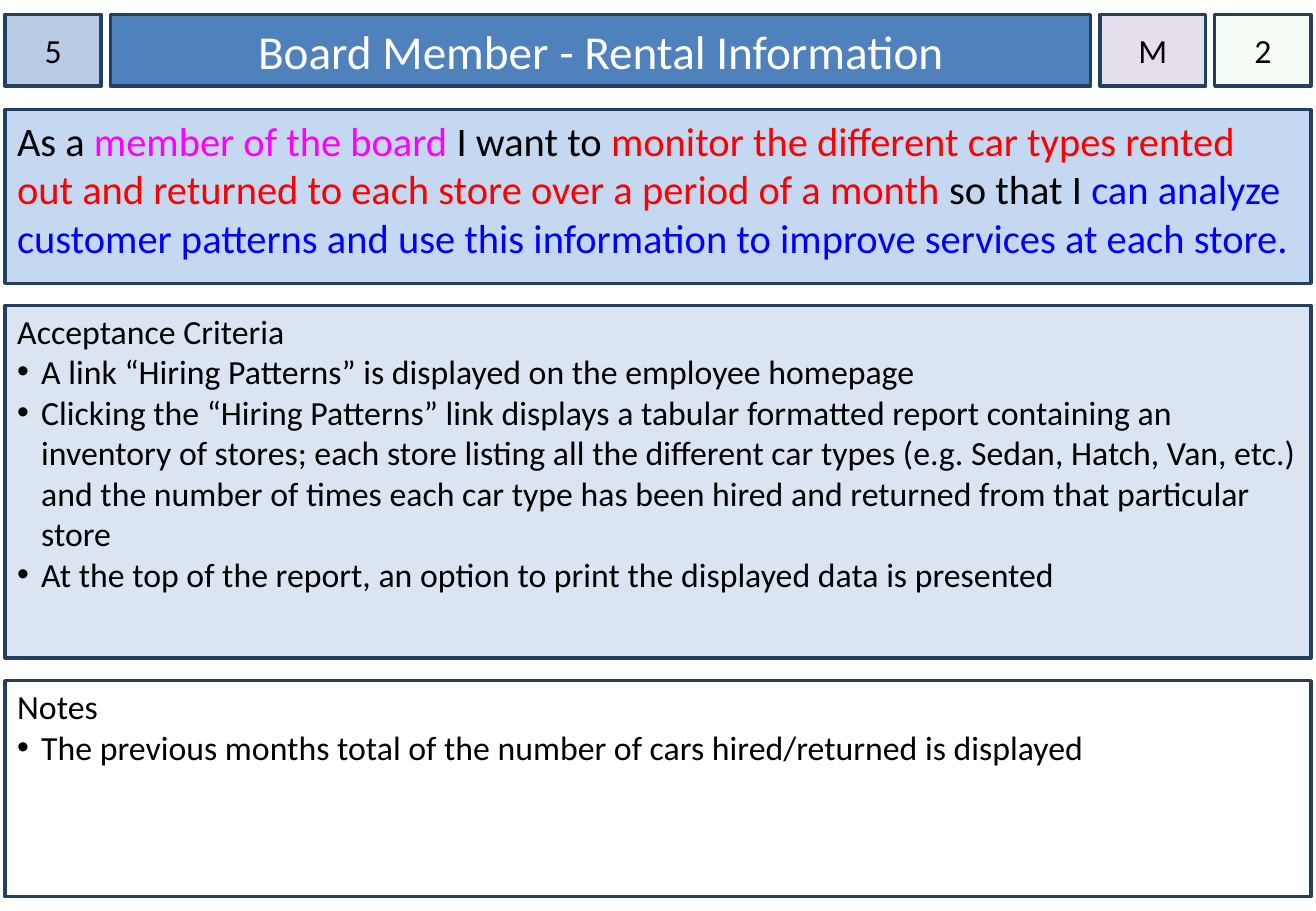
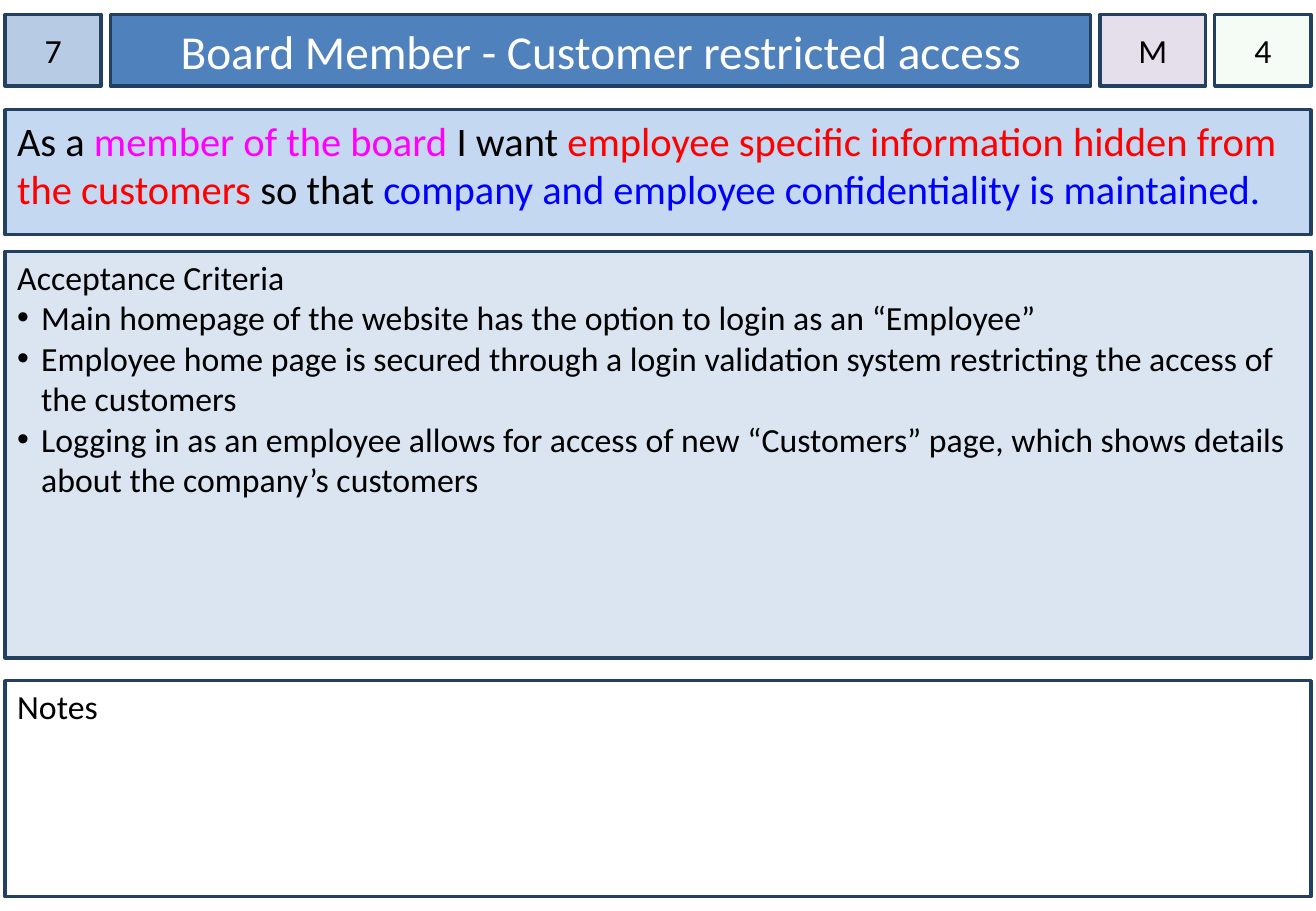
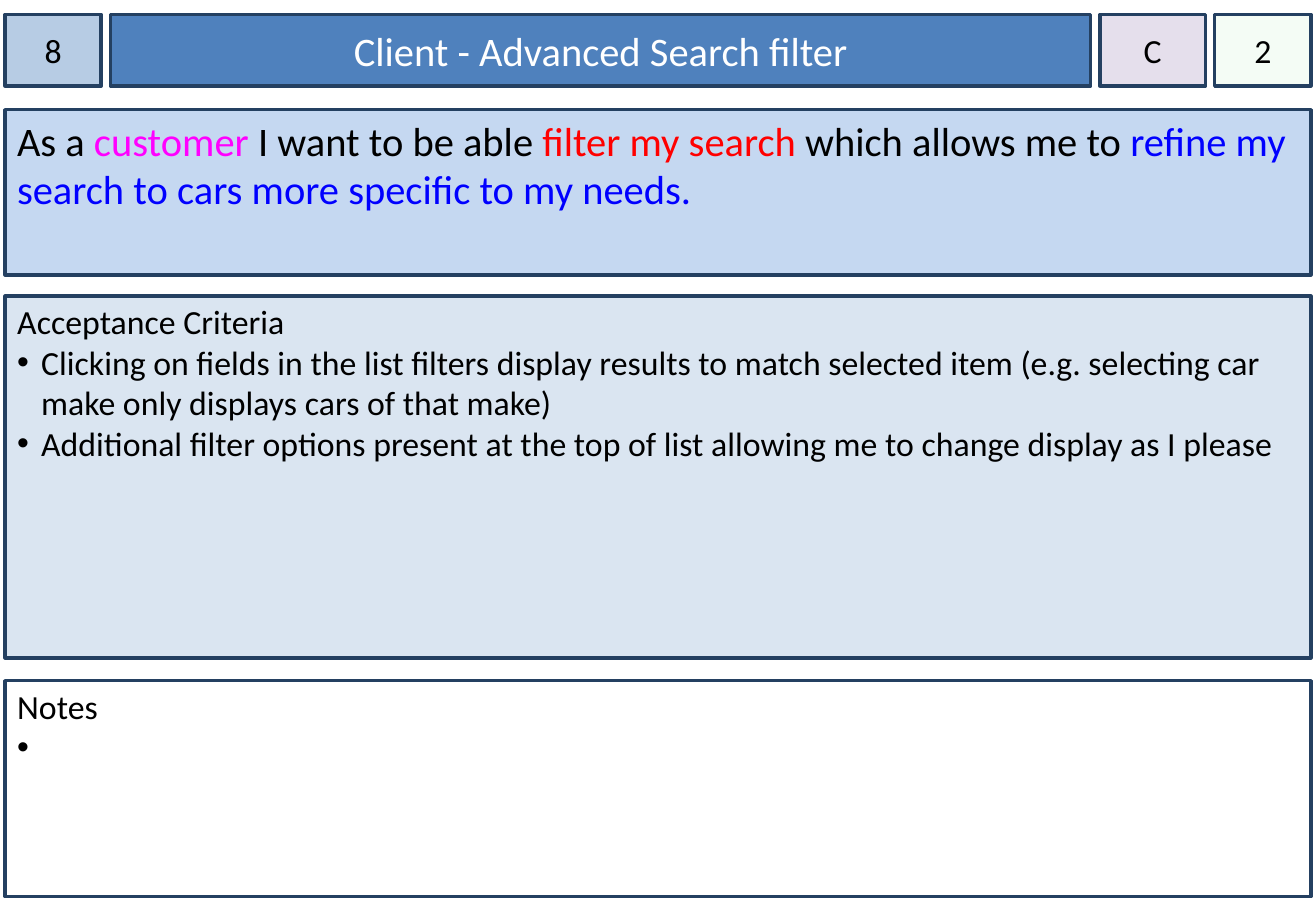
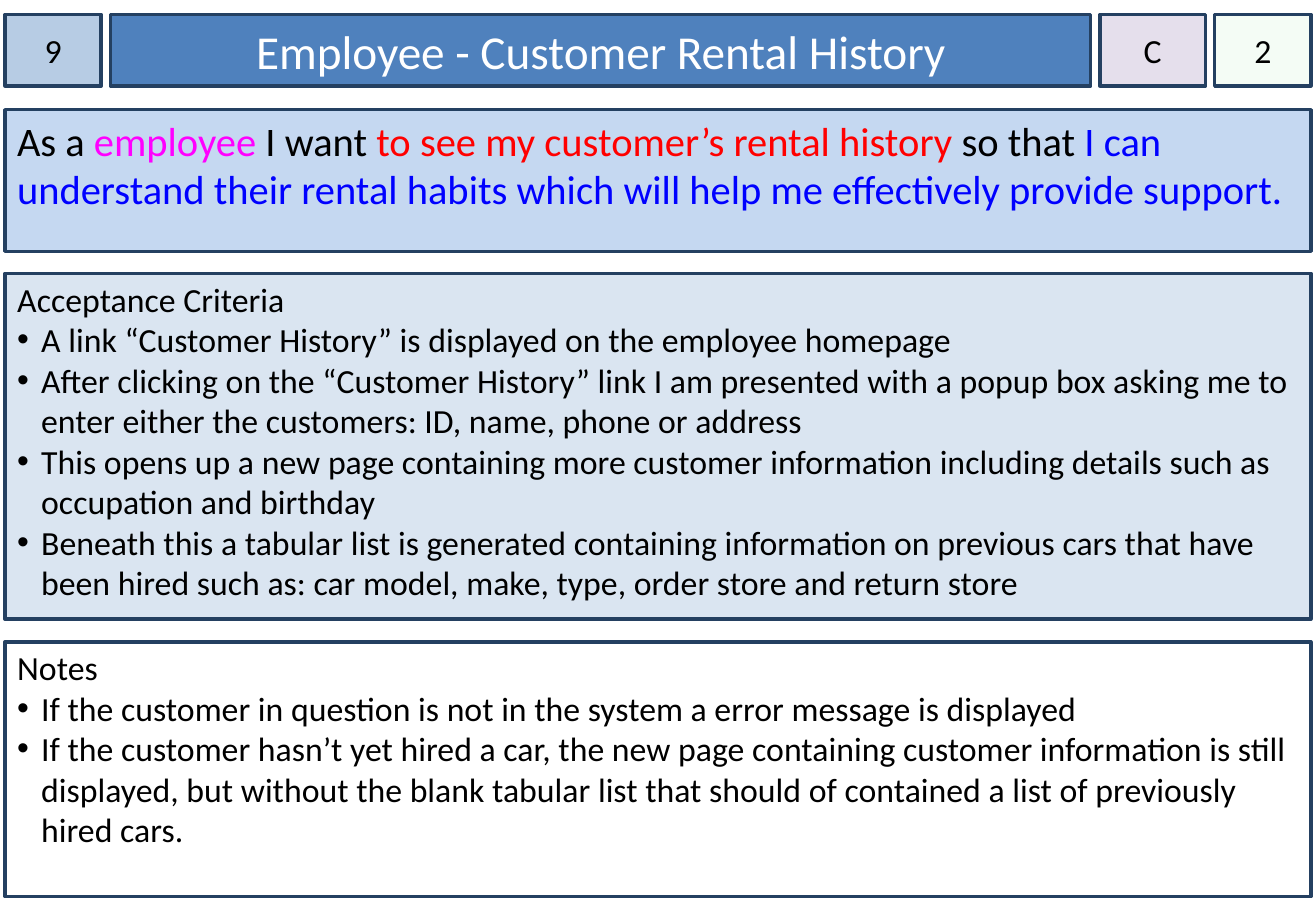
from dataclasses import dataclass

from lxml import etree
from pptx import Presentation
from pptx.dml.color import RGBColor
from pptx.enum import shapes, text
from pptx.oxml import ns
from pptx.util import Pt

FONT = "Calibri"
BLACK, WHITE, NAVY = "000000", "FFFFFF", "244061"
ROLE, WISH, REASON = "FF00FF", "FF0000", "0000FF"
NUMBER_FILL, TITLE_FILL, PRIORITY_FILL, EFFORT_FILL = "B7CCE4", "4F81BD", "E5DFEC", "CCF0CD"
STORY_FILL, CRITERIA_FILL = "C5D8F1", "DAE5F1"

LEFT, RIGHT, BOTTOM = 3, 777, 531.5
HEADER_TOP, HEADER_HEIGHT, HEADER_GAP = 8.5, 42.5, 5.5
HEADER_WIDTHS = (57, 581, 62.5, 57)
STORY_TOP, NOTES_GAP = 65, 13.5
BULLET_INDENT = 14.2


@dataclass
class Card:
    number: str
    title: str
    priority: str
    effort: str
    story: list
    criteria: list
    notes: list
    story_bottom: float
    criteria_top: float
    criteria_bottom: float = 390
    title_size: float = 28


CARDS = [
    Card(
        "5", "Board Member - Rental Information", "M", "2",
        [("As a ", BLACK), ("member of the board", ROLE), (" I want to ", BLACK),
         ("monitor the different car types rented out and returned to each store "
          "over a period of a month", WISH),
         (" so that I ", BLACK),
         ("can analyze customer patterns and use this information to improve "
          "services at each store.", REASON)],
        ["A link “Hiring Patterns” is displayed on the employee homepage",
         "Clicking the “Hiring Patterns” link displays a tabular formatted report "
         "containing an inventory of stores; each store listing all the different "
         "car types (e.g. Sedan, Hatch, Van, etc.) and the number of times each car "
         "type has been hired and returned from that particular store",
         "At the top of the report, an option to print the displayed data is presented"],
        ["The previous months total of the number of cars hired/returned is displayed"],
        story_bottom=168, criteria_top=181,
    ),
    Card(
        "7", "Board Member - Customer restricted access", "M", "4",
        [("As a ", BLACK), ("member of the board ", ROLE), ("I want ", BLACK),
         ("employee specific information hidden from the customers ", WISH),
         ("so that ", BLACK),
         ("company and employee confidentiality is maintained.", REASON)],
        ["Main homepage of the website has the option to login as an “Employee”",
         "Employee home page is secured through a login validation system "
         "restricting the access of the customers",
         "Logging in as an employee allows for access of new “Customers” page, "
         "which shows details about the company’s customers"],
        [],
        story_bottom=139, criteria_top=149,
    ),
    Card(
        "8", "Client - Advanced Search filter", "C", "2",
        [("As a ", BLACK), ("customer ", ROLE), ("I want to be able ", BLACK),
         ("filter my search ", WISH), ("which allows me to ", BLACK),
         ("refine my search to cars more specific to my needs.", REASON)],
        ["Clicking on fields in the list filters display results to match selected "
         "item (e.g. selecting car make only displays cars of that make)",
         "Additional filter options present at the top of list allowing me to "
         "change display as I please"],
        [" "],
        story_bottom=163, criteria_top=175.5, title_size=24,
    ),
    Card(
        "9", "Employee - Customer Rental History", "C", "2",
        [("As a ", BLACK), ("employee ", ROLE), ("I want ", BLACK),
         ("to see my customer’s rental history ", WISH), ("so that ", BLACK),
         ("I can understand their rental habits which will help me effectively "
          "provide support.", REASON)],
        ["A link “Customer History” is displayed on the employee homepage",
         "After clicking on the “Customer History” link I am presented with a popup "
         "box asking me to enter either the customers: ID, name, phone or address",
         "This opens up a new page containing more customer information including "
         "details such as occupation and birthday",
         "Beneath this a tabular list is generated containing information on "
         "previous cars that have been hired such as: car model, make, type, order "
         "store and return store"],
        ["If the customer in question is not in the system a error message is displayed",
         "If the customer hasn’t yet hired a car, the new page containing customer "
         "information is still displayed, but without the blank tabular list that "
         "should of contained a list of previously hired cars."],
        story_bottom=149, criteria_top=162, criteria_bottom=367,
    ),
]


def color(value):
    return RGBColor.from_string(value)


def style_box(box, bounds, fill, *, opacity=None, centred=False, side=7.2, top=3.6):
    """Place a box by its left, top, right and bottom edges and format its frame."""
    left, upper, right, lower = bounds
    box.left, box.top = Pt(left), Pt(upper)
    box.width, box.height = Pt(right - left), Pt(lower - upper)
    box.shadow.inherit = False
    box.fill.solid()
    box.fill.fore_color.rgb = color(fill)
    if opacity is not None:
        paint = box.fill._xPr.find(ns.qn("a:solidFill"))[0]
        etree.SubElement(paint, ns.qn("a:alpha")).set("val", str(opacity * 1000))
    box.line.color.rgb = color(NAVY)
    box.line.width = Pt(2)
    frame = box.text_frame
    frame.word_wrap = True
    frame.auto_size = text.MSO_AUTO_SIZE.NONE
    frame.vertical_anchor = text.MSO_ANCHOR.MIDDLE if centred else text.MSO_ANCHOR.TOP
    frame.margin_left = frame.margin_right = Pt(side)
    frame.margin_top, frame.margin_bottom = Pt(top), Pt(3.6)


def add_rectangle(page, bounds, fill, **frame_format):
    box = page.shapes.add_shape(shapes.MSO_SHAPE.RECTANGLE, 0, 0, 0, 0)
    style_box(box, bounds, fill, **frame_format)
    return box


def write(para, spans, *, size=20, align=text.PP_ALIGN.LEFT, bullet=False):
    """Fill a paragraph with (text, colour) spans."""
    para.alignment = align
    para.space_before = Pt(0)
    properties = para._p.get_or_add_pPr()
    indent = Pt(BULLET_INDENT) if bullet else 0
    properties.set("marL", str(indent))
    properties.set("indent", str(-indent))
    if bullet:
        etree.SubElement(properties, ns.qn("a:buFont")).set("typeface", "Arial")
        etree.SubElement(properties, ns.qn("a:buChar")).set("char", "•")
    else:
        etree.SubElement(properties, ns.qn("a:buNone"))
    for words, ink in spans:
        span = para.add_run()
        span.text = words
        span.font.name = FONT
        span.font.size = Pt(size)
        span.font.color.rgb = color(ink)


def write_centred(box, words, ink=BLACK, size=20):
    write(box.text_frame.paragraphs[0], [(words, ink)], size=size,
          align=text.PP_ALIGN.CENTER)


def fill_list(box, bounds, fill, heading, items):
    style_box(box, bounds, fill, top=3)
    frame = box.text_frame
    write(frame.paragraphs[0], [(heading, BLACK)])
    for item in items:
        write(frame.add_paragraph(), [(item, BLACK)], bullet=True)


def header_bounds():
    left = LEFT
    for width in HEADER_WIDTHS:
        yield left, HEADER_TOP, left + width, HEADER_TOP + HEADER_HEIGHT
        left += width + HEADER_GAP


def add_header(page, card):
    number_at, title_at, priority_at, effort_at = header_bounds()
    style_box(page.shapes.title, title_at, TITLE_FILL, centred=True)
    write_centred(page.shapes.title, card.title, WHITE, card.title_size)
    for words, bounds, fill, opacity in (
        (card.number, number_at, NUMBER_FILL, None),
        (card.priority, priority_at, PRIORITY_FILL, None),
        (card.effort, effort_at, EFFORT_FILL, 20),
    ):
        box = add_rectangle(page, bounds, fill, opacity=opacity, centred=True, side=0)
        write_centred(box, words)


def add_card(deck, card):
    page = deck.slides.add_slide(deck.slide_layouts.get_by_name("Two Content"))
    add_header(page, card)
    story = add_rectangle(page, (LEFT, STORY_TOP, RIGHT, card.story_bottom), STORY_FILL)
    write(story.text_frame.paragraphs[0], card.story, size=24)
    fill_list(page.placeholders[1],
              (LEFT, card.criteria_top, RIGHT, card.criteria_bottom),
              CRITERIA_FILL, "Acceptance Criteria", card.criteria)
    fill_list(page.placeholders[2],
              (LEFT, card.criteria_bottom + NOTES_GAP, RIGHT, BOTTOM),
              WHITE, "Notes", card.notes)


def main():
    deck = Presentation()
    deck.slide_width, deck.slide_height = Pt(780), Pt(540)
    for card in CARDS:
        add_card(deck, card)
    deck.save("out.pptx")


if __name__ == "__main__":
    main()
